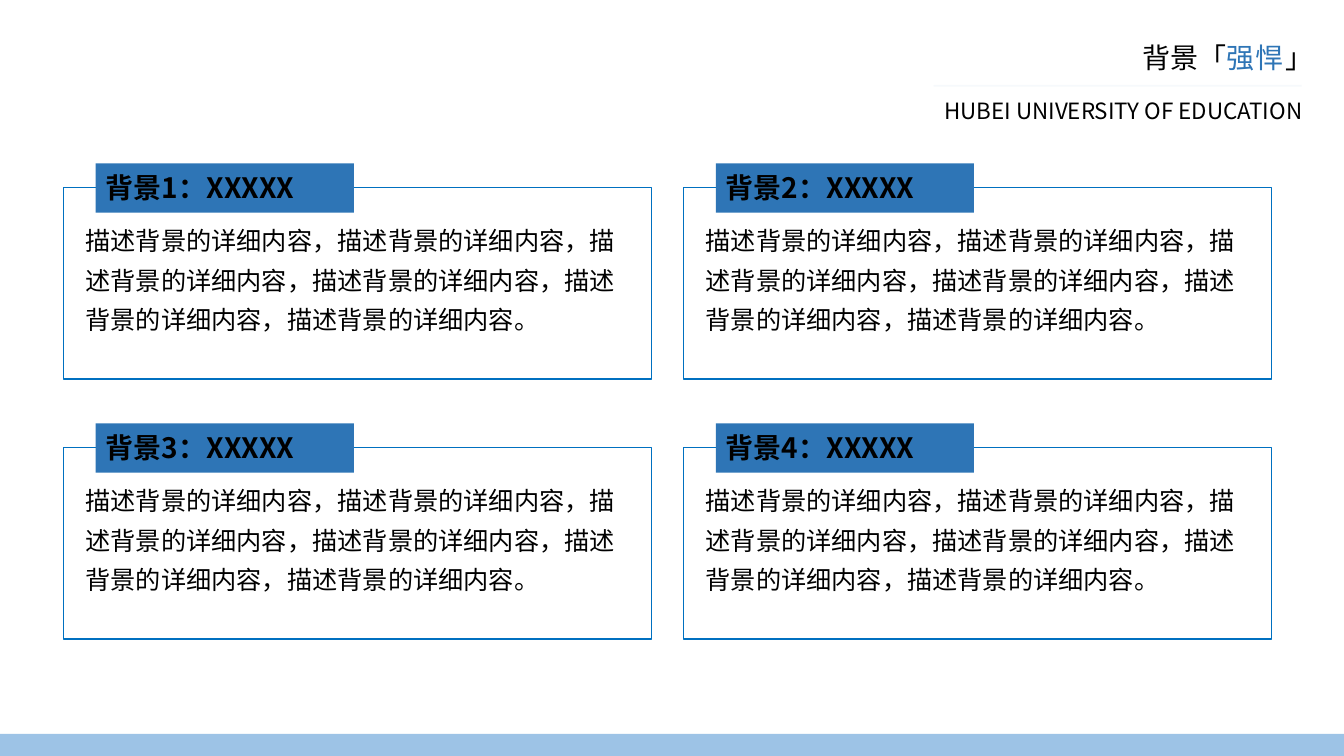
import pptx
import pptx.util
import pptx.dml.color
import pptx.enum.dml
import pptx.enum.lang
import pptx.enum.shapes
import pptx.enum.text
import pptx.oxml
import pptx.oxml.ns

Inches = pptx.util.Inches
Pt = pptx.util.Pt
RGB = pptx.dml.color.RGBColor.from_string
FONT = "Noto Sans CJK SC"
COLORS = {"text": "000000", "blue": "2E75B6", "frame": "0070C0", "bar": "9DC3E6"}


def add_rect(shapes, x, y, w, h, fill=None, line=None):
    rect = shapes.add_shape(pptx.enum.shapes.MSO_SHAPE.RECTANGLE,
                            Inches(x), Inches(y), Inches(w), Inches(h))
    rect.shadow.inherit = False
    if fill:
        rect.fill.solid()
        rect.fill.fore_color.rgb = RGB(COLORS[fill])
    else:
        rect.fill.background()
    if line:
        rect.line.color.rgb = RGB(COLORS[line])
        rect.line.width = Pt(1)
    else:
        rect.line.fill.background()


def add_text(shapes, x, y, w, h, parts, size, bold=False):
    box = shapes.add_textbox(Inches(x), Inches(y), Inches(w), Inches(h))
    box.text_frame.word_wrap = True
    para = box.text_frame.paragraphs[0]
    for words, color in parts:
        run = para.add_run()
        run.text = words
        run.font.size = Pt(size)
        run.font.bold = bold
        run.font.name = FONT
        run.font.color.rgb = RGB(COLORS[color])
        run.font.language_id = pptx.enum.lang.MSO_LANGUAGE_ID.SIMPLIFIED_CHINESE
        # East Asian typeface
        props = run._r.get_or_add_rPr()
        east = pptx.oxml.parse_xml(
            f'<a:ea {pptx.oxml.ns.nsdecls("a")} typeface="{FONT}"/>')
        props.find(pptx.oxml.ns.qn("a:latin")).addnext(east)
    return box


deck = pptx.Presentation()
deck.slide_width = Inches(13.33)
deck.slide_height = Inches(7.5)
slide = deck.slides.add_slide(deck.slide_layouts[6])

# Bottom bar
add_rect(slide.shapes, 0, 7.28, 13.33, 0.22, fill="bar")

# Four cards, two by two
detail = "，".join(["描述背景的详细内容"] * 6) + "。"
for i in range(4):
    x = 0.63 + i % 2 * 6.15
    y = 1.62 + i // 2 * 2.58
    card = slide.shapes.add_group_shape().shapes
    body = add_text(card, x + 0.12, y + 0.48, 5.58, 1.28, [(detail, "text")], 18)
    body.text_frame.paragraphs[0].line_spacing = 1.3
    add_rect(card, x, y + 0.24, 5.83, 1.9, line="frame")
    add_rect(card, x + 0.32, y, 2.56, 0.49, fill="blue")
    add_text(card, x + 0.32, y + 0.02, 2.49, 0.44,
             [(f"背景{i + 1}：XXXXX", "text")], 20, bold=True)

# Heading
head = add_text(slide.shapes, 11.23, 0.26, 3.36, 0.61,
                [("背景「", "text"), ("强悍", "blue"), ("」", "text")], 20)
head.text_frame.vertical_anchor = pptx.enum.text.MSO_ANCHOR.MIDDLE
head.text_frame.paragraphs[0].runs[1]._r.get_or_add_rPr().set("spc", "100")
add_text(slide.shapes, 9.27, 0.91, 4.01, 0.37,
         [("HUBEI UNIVERSITY OF EDUCATION", "text")], 16)

# Faint rule under the heading
rule = slide.shapes.add_connector(pptx.enum.shapes.MSO_CONNECTOR.STRAIGHT,
                                  Inches(9.26), Inches(0.85),
                                  Inches(12.91), Inches(0.85))
rule.line.color.rgb = RGB(COLORS["blue"])
rule.line.width = Pt(1.25)
tint = rule.line._ln.find(".//" + pptx.oxml.ns.qn("a:srgbClr"))
tint.append(pptx.oxml.parse_xml(
    f'<a:alpha {pptx.oxml.ns.nsdecls("a")} val="3000"/>'))
rule._element.spPr.append(pptx.oxml.parse_xml(
    f'<a:effectLst {pptx.oxml.ns.nsdecls("a")}/>'))

deck.save("out.pptx")
